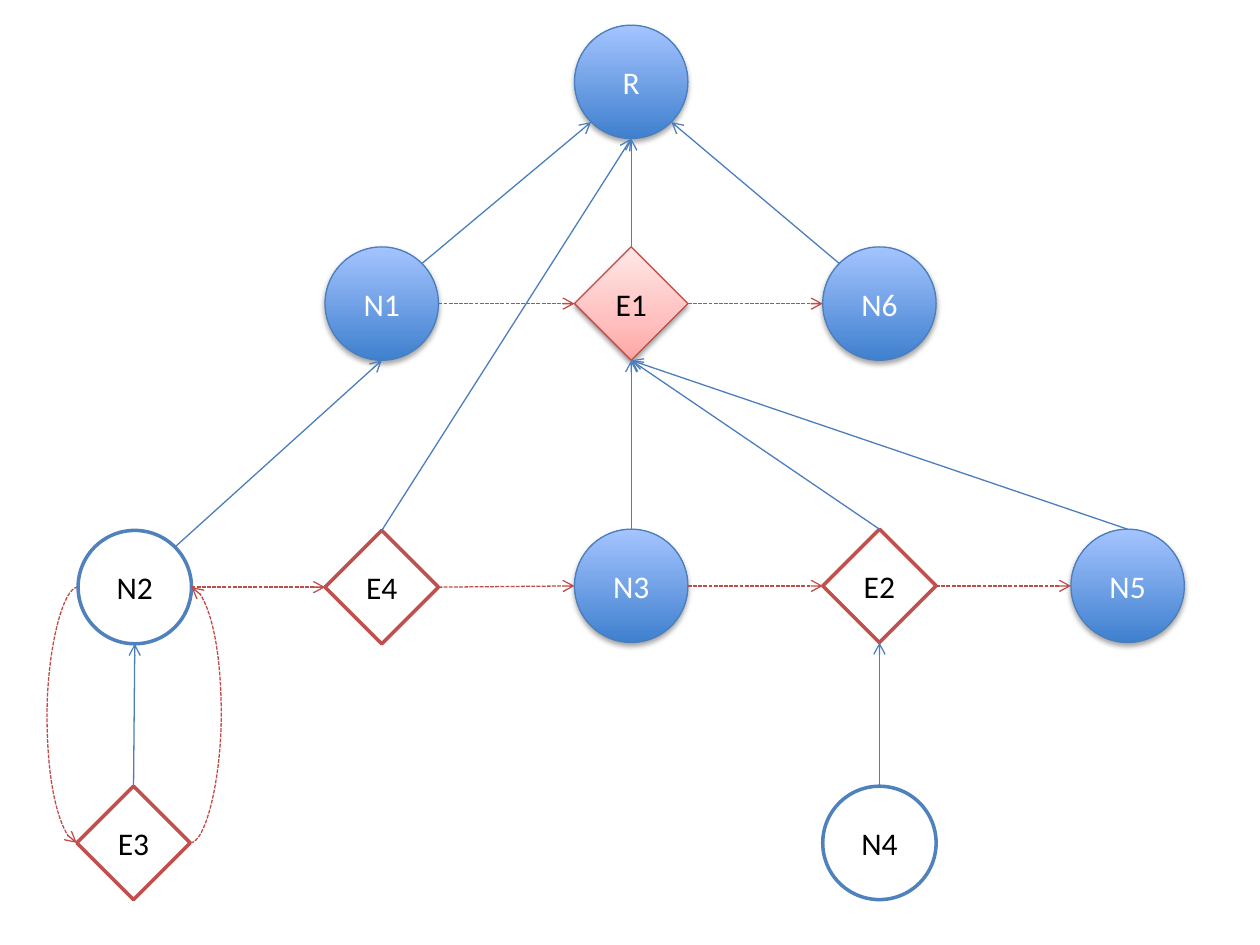
import copy
import pptx
import pptx.dml.color
import pptx.enum.dml
import pptx.enum.shapes
import pptx.enum.text
import pptx.oxml
import pptx.oxml.ns
import pptx.util

Inches, Pt = pptx.util.Inches, pptx.util.Pt
RGBColor = pptx.dml.color.RGBColor
MSO_SHAPE = pptx.enum.shapes.MSO_SHAPE
MSO_CONNECTOR = pptx.enum.shapes.MSO_CONNECTOR

WHITE = RGBColor(0xFF, 0xFF, 0xFF)
BLACK = RGBColor(0x00, 0x00, 0x00)
BLUE = RGBColor(0x4F, 0x81, 0xBD)
BLUE_EDGE = RGBColor(0x4B, 0x7E, 0xBC)
BLUE_DARK = RGBColor(0x3F, 0x80, 0xCE)
BLUE_LIGHT = RGBColor(0xA4, 0xC4, 0xFF)
RED = RGBColor(0xC0, 0x50, 0x4D)
RED_EDGE = RGBColor(0xBF, 0x4C, 0x48)
PINK_DARK = RGBColor(0xFF, 0xA6, 0xA5)
PINK_MID = RGBColor(0xFF, 0xC0, 0xBF)
PINK_LIGHT = RGBColor(0xFF, 0xE7, 0xE7)

SIZE = 0.9
CURVE_BULGE = 0.25

STYLES = {
    "blue": dict(shape=MSO_SHAPE.OVAL, stops=[(0, BLUE_DARK), (1, BLUE_LIGHT)],
                 line=BLUE_EDGE, width=0.75, text=WHITE, shadow=(35, 3.1, 1.8)),
    "pink": dict(shape=MSO_SHAPE.DIAMOND,
                 stops=[(0, PINK_DARK), (0.35, PINK_MID), (1, PINK_LIGHT)],
                 line=RED_EDGE, width=0.75, text=BLACK, shadow=(38, 3.1, 1.6)),
    "open circle": dict(shape=MSO_SHAPE.OVAL, line=BLUE, width=2, text=BLACK),
    "open diamond": dict(shape=MSO_SHAPE.DIAMOND, line=RED, width=2, text=BLACK),
}

NODES = {
    "R": (4.56, 0.2, "blue"),
    "N1": (2.58, 1.96, "blue"),
    "N2": (0.62, 4.21, "open circle"),
    "N6": (6.53, 1.96, "blue"),
    "E1": (4.56, 1.96, "pink"),
    "E2": (6.53, 4.2, "open diamond"),
    "E4": (2.58, 4.21, "open diamond"),
    "E3": (0.61, 6.24, "open diamond"),
    "N3": (4.56, 4.2, "blue"),
    "N4": (6.53, 6.24, "open circle"),
    "N5": (8.5, 4.2, "blue"),
}

NEAR, FAR = 0.146, 0.854
SITES = {
    "top": (0.5, 0), "bottom": (0.5, 1), "left": (0, 0.5), "right": (1, 0.5),
    "top left": (NEAR, NEAR), "top right": (FAR, NEAR),
    "bottom left": (NEAR, FAR), "bottom right": (FAR, FAR),
}

PARENT_LINKS = [
    ("N6", "top left", "R", "bottom right"),
    ("E1", "top", "R", "bottom"),
    ("N1", "top right", "R", "bottom left"),
    ("N5", "top", "E1", "bottom"),
    ("E2", "top", "E1", "bottom"),
    ("E4", "top", "R", "bottom"),
    ("N2", "top right", "N1", "bottom"),
    ("E3", "top", "N2", "bottom"),
    ("N3", "top", "E1", "bottom"),
    ("N4", "top", "E2", "bottom"),
]
SIBLING_ROWS = [["N1", "E1", "N6"], ["N2", "E4", "N3", "E2", "N5"]]
LOOP_LINKS = [("N2", "left", "E3", "left"), ("E3", "right", "N2", "right")]


def add_xml(parent, tag, **attrs):
    child = pptx.oxml.parse_xml(
        f'<a:{tag} xmlns:a="http://schemas.openxmlformats.org/drawingml/2006/main"/>')
    for name, value in attrs.items():
        child.set(name, str(value))
    parent.append(child)
    return child


def fill_gradient(fill, sp, stops):
    fill.gradient()
    fill.gradient_angle = 90
    stop_list = sp._element.spPr.find(".//" + pptx.oxml.ns.qn("a:gsLst"))
    while len(stop_list) < len(stops):
        stop_list.append(copy.deepcopy(stop_list[-1]))
    for stop, (position, color) in zip(fill.gradient_stops, stops):
        stop.position = position
        stop.color.rgb = color


def add_node(label, left, top, style):
    look = STYLES[style]
    sp = s.shapes.add_shape(look["shape"], Inches(left), Inches(top),
                            Inches(SIZE), Inches(SIZE))
    if "stops" in look:
        fill_gradient(sp.fill, sp, look["stops"])
    else:
        sp.fill.solid()
        sp.fill.fore_color.rgb = WHITE
    sp.line.color.rgb = look["line"]
    sp.line.width = Pt(look["width"])
    sp.shadow.inherit = False
    if "shadow" in look:
        opacity, blur, distance = look["shadow"]
        effects = sp._element.spPr.find(pptx.oxml.ns.qn("a:effectLst"))
        shadow = add_xml(effects, "outerShdw", blurRad=Pt(blur), dist=Pt(distance),
                         dir=90 * 60000, rotWithShape=0)
        add_xml(add_xml(shadow, "srgbClr", val=BLACK), "alpha", val=opacity * 1000)
    tf = sp.text_frame
    tf.vertical_anchor = pptx.enum.text.MSO_ANCHOR.MIDDLE
    p = tf.paragraphs[0]
    p.alignment = pptx.enum.text.PP_ALIGN.CENTER
    r = p.add_run()
    r.text = label
    for name, value in dict(name="Calibri", size=Pt(18)).items():
        setattr(r.font, name, value)
    r.font.color.rgb = look["text"]


def site(node, side):
    left, top, _ = NODES[node]
    dx, dy = SITES[side]
    return left + dx * SIZE, top + dy * SIZE


def add_link(start, start_side, end, end_side, color, dashed=False, curved=False):
    x1, y1 = site(start, start_side)
    x2, y2 = site(end, end_side)
    kind = MSO_CONNECTOR.CURVE if curved else MSO_CONNECTOR.STRAIGHT
    link = s.shapes.add_connector(kind, Inches(x1), Inches(y1), Inches(x2), Inches(y2))
    link.line.color.rgb = color
    link.line.width = Pt(0.75)
    if dashed:
        link.line.dash_style = pptx.enum.dml.MSO_LINE.SQUARE_DOT
    spPr = link._element.spPr
    add_xml(spPr.find(pptx.oxml.ns.qn("a:ln")), "tailEnd", type="arrow")
    add_xml(spPr, "effectLst")
    if curved:
        guides = spPr.find(".//" + pptx.oxml.ns.qn("a:avLst"))
        bend = round(CURVE_BULGE / abs(x2 - x1) * 100000)
        add_xml(guides, "gd", name="adj1", fmla=f"val {bend}")


prs = pptx.Presentation()
prs.slide_width, prs.slide_height = Inches(10), Inches(7.5)
s = prs.slides.add_slide(prs.slide_layouts[6])

for label, place in NODES.items():
    add_node(label, *place)
for ends in PARENT_LINKS:
    add_link(*ends, BLUE_EDGE)
for row in SIBLING_ROWS:
    for start, end in zip(row, row[1:]):
        add_link(start, "right", end, "left", RED_EDGE, dashed=True)
for ends in LOOP_LINKS:
    add_link(*ends, RED_EDGE, dashed=True, curved=True)

prs.save("out.pptx")
